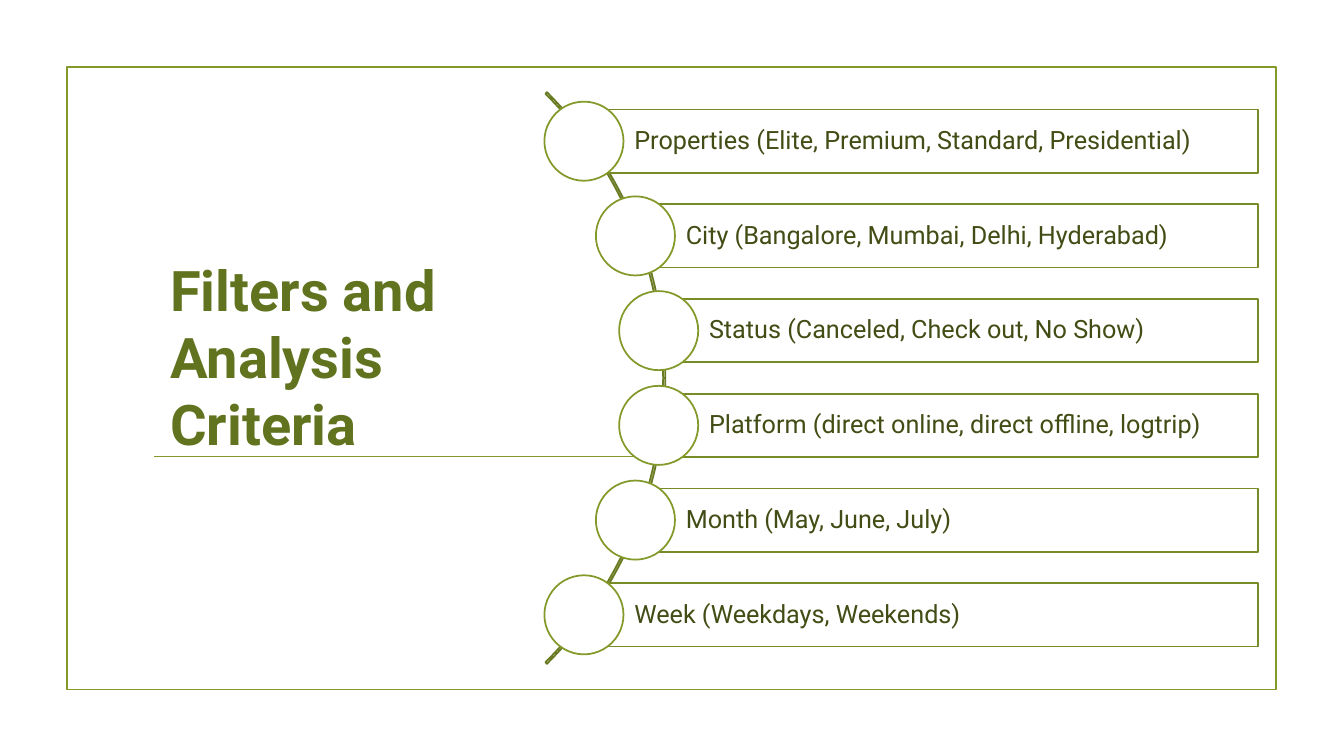
from dataclasses import dataclass
from math import sqrt

from lxml import etree
from pptx import Presentation
from pptx.dml.color import RGBColor
from pptx.enum import shapes, text
from pptx.oxml import ns
from pptx.util import Pt


@dataclass(frozen=True)
class Theme:
    font: str = "Roboto"
    title_size: float = 40
    item_size: float = 18
    line_width: float = 1.25
    title: str = "62731F"
    item: str = "414D15"
    accent: str = "83992A"
    bar: str = "778B26"
    arc: str = "697B22"
    paper: str = "FFFFFF"


@dataclass(frozen=True)
class Box:
    left: float
    top: float
    width: float
    height: float

    def lengths(self):
        return [Pt(v) for v in (self.left, self.top, self.width, self.height)]


THEME = Theme()
CRITERIA = [
    "Properties (Elite, Premium, Standard, Presidential)",
    "City (Bangalore, Mumbai, Delhi, Hyderabad)",
    "Status (Canceled, Check out, No Show)",
    "Platform (direct online, direct offline, logtrip)",
    "Month (May, June, July)",
    "Week (Weekdays, Weekends)",
]


def set_line(line, color):
    line.color.rgb = RGBColor.from_string(color)
    line.width = Pt(THEME.line_width)


def add_outlined(page, kind, box, color, fill=None):
    shape = page.shapes.add_shape(kind, *box.lengths())
    shape.shadow.inherit = False
    set_line(shape.line, color)
    if fill:
        shape.fill.solid()
        shape.fill.fore_color.rgb = RGBColor.from_string(fill)
    else:
        shape.fill.background()
    return shape


def add_span(para, words, size, color, bold=False):
    para.alignment = text.PP_ALIGN.LEFT
    span = para.add_run()
    span.text = words
    span.font.name = THEME.font
    span.font.size = Pt(size)
    span.font.bold = bold
    span.font.color.rgb = RGBColor.from_string(color)


def add_frame(page, box):
    """Draw the page border and the rule that runs under the title."""
    add_outlined(page, shapes.MSO_SHAPE.RECTANGLE, box, THEME.accent)
    rule_y = Pt(box.top + 278)
    rule = page.shapes.add_connector(
        shapes.MSO_CONNECTOR.STRAIGHT,
        Pt(box.left + 62.5), rule_y, Pt(box.left + 802.5), rule_y)
    set_line(rule.line, THEME.accent)
    etree.SubElement(rule._element.spPr, ns.qn("a:effectLst"))


def fill_title(page, box, words):
    title = page.shapes.title
    title.left, title.top, title.width, title.height = box.lengths()
    frame = title.text_frame
    frame.word_wrap = True
    frame.auto_size = text.MSO_AUTO_SIZE.NONE
    frame.vertical_anchor = text.MSO_ANCHOR.MIDDLE
    frame.margin_bottom = Pt(51)  # lifts the words onto the rule
    add_span(frame.paragraphs[0], words, THEME.title_size, THEME.title, True)


def add_criterion(page, box, words):
    """Draw one bar with its words, and a circle centred on its left end."""
    bar = add_outlined(page, shapes.MSO_SHAPE.RECTANGLE, box, THEME.bar, THEME.paper)
    frame = bar.text_frame
    frame.word_wrap = True
    frame.vertical_anchor = text.MSO_ANCHOR.MIDDLE
    frame.margin_left = Pt(36)
    frame.margin_right = Pt(3.6)
    para = frame.paragraphs[0]
    para.line_spacing = 0.9
    add_span(para, words, THEME.item_size, THEME.item)

    size = box.height * 1.25
    circle = Box(box.left - size / 2, box.top + (box.height - size) / 2, size, size)
    add_outlined(page, shapes.MSO_SHAPE.OVAL, circle, THEME.accent, THEME.paper)


def add_criteria(page, box, items):
    """Set the bars at equal steps in the box, starting on a curve along its left."""
    radius, bar_height = 286, 45.2
    center_x = box.left - 202.5
    center_y = box.top + box.height / 2
    outer = radius + 2.75
    arc = add_outlined(
        page, shapes.MSO_SHAPE.BLOCK_ARC,
        Box(center_x - outer, center_y - outer, 2 * outer, 2 * outer), THEME.arc)
    for index, value in enumerate((189, 27, 0.0027)):
        arc.adjustments[index] = value

    step = box.height / len(items)
    for index, words in enumerate(items):
        offset = (index - (len(items) - 1) / 2) * step
        left = center_x + sqrt(radius ** 2 - offset ** 2)
        bar = Box(left, center_y + offset - bar_height / 2,
                  box.left + box.width - left, bar_height)
        add_criterion(page, bar, words)


def main():
    deck = Presentation()
    deck.slide_width, deck.slide_height = Pt(960), Pt(540)
    page = deck.slides.add_slide(deck.slide_layouts[5])
    add_frame(page, Box(47.7, 48, 864, 444.5))
    fill_title(page, Box(114.5, 89.3, 235.5, 377.3), "Filters and Analysis Criteria")
    add_criteria(page, Box(389, 67, 509.4, 406), CRITERIA)
    deck.save("out.pptx")


if __name__ == "__main__":
    main()
